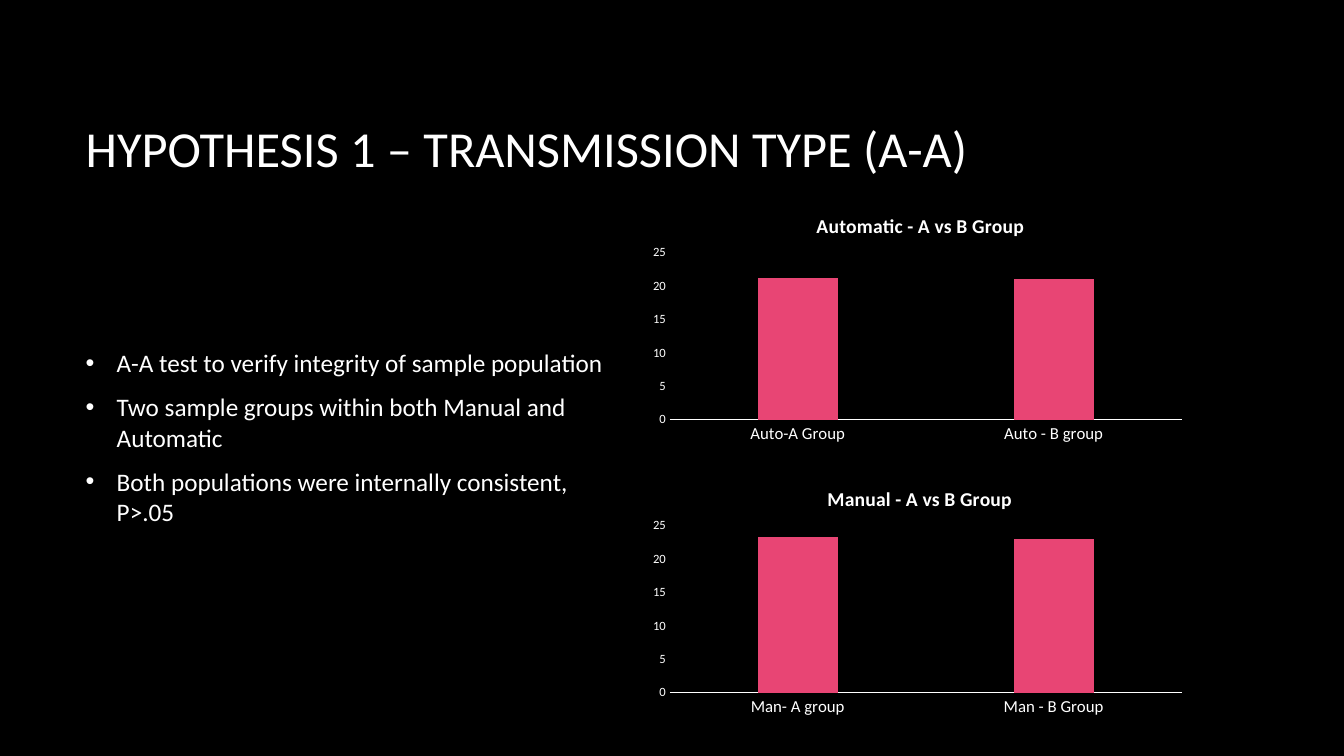
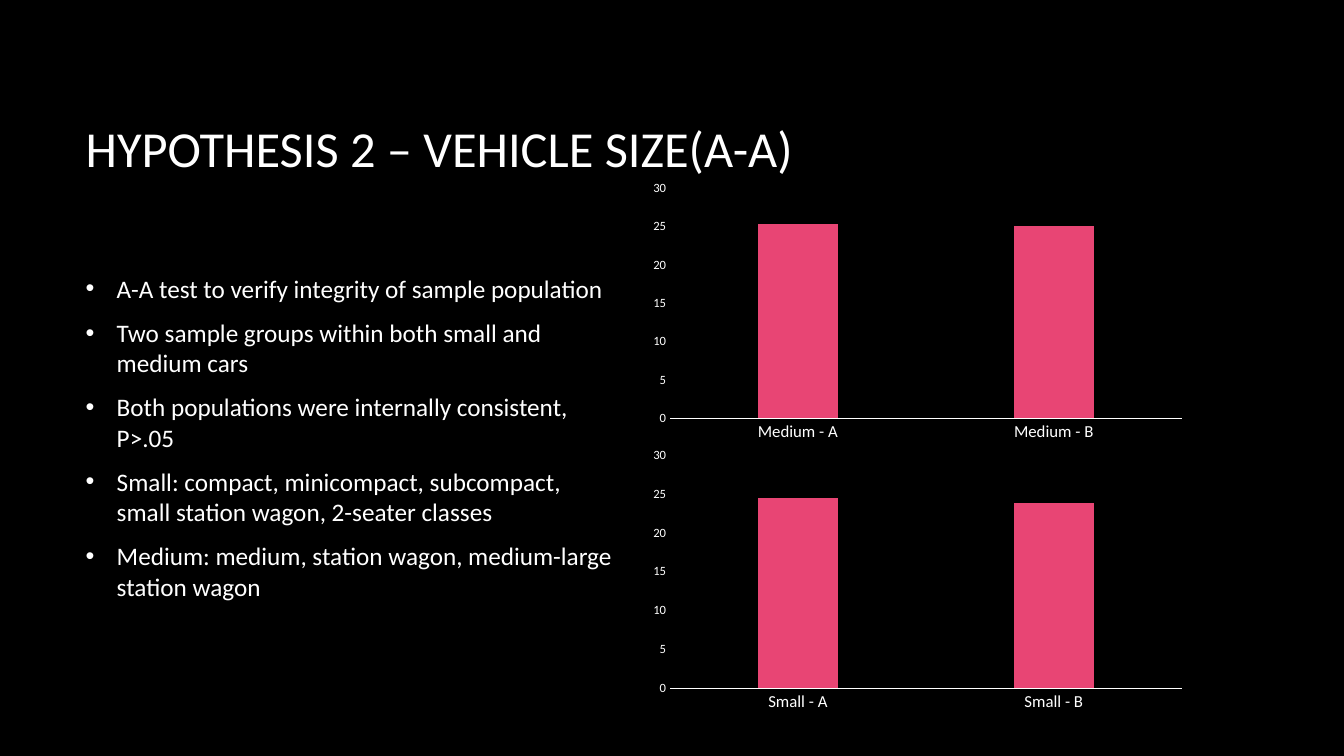
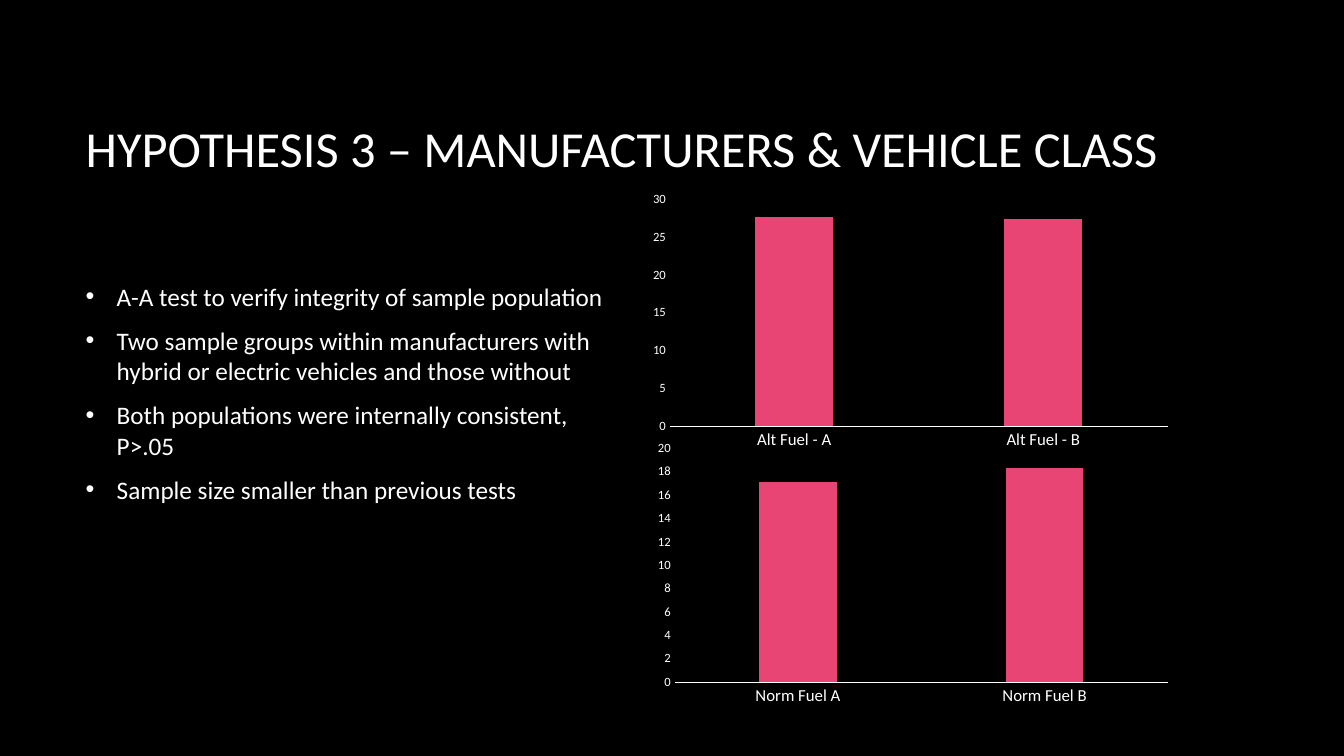
from pptx import Presentation
from pptx.chart.data import CategoryChartData
from pptx.dml.color import RGBColor
from pptx.enum.chart import XL_CHART_TYPE as ChartType, XL_TICK_MARK as TickMark
from pptx.enum.text import MSO_ANCHOR as Anchor, MSO_AUTO_SIZE as AutoSize, PP_ALIGN as Align
from pptx.oxml import parse_xml
from pptx.oxml.ns import nsdecls, qn
from pptx.util import Emu, Pt

BLACK = RGBColor(0x00, 0x00, 0x00)
WHITE = RGBColor(0xFF, 0xFF, 0xFF)
PINK = RGBColor(0xE8, 0x45, 0x74)
FONT = "Calibri"
EMU_PER_PX = 9144
TITLE_ONLY = 5


def px(length):
    return Emu(length * EMU_PER_PX)


class Deck:
    """Holds the shared style and the current slide, and draws each kind of element."""

    def __init__(self):
        self.presentation = Presentation()
        self.presentation.slide_width = px(1333)
        self.presentation.slide_height = px(750)
        fill = self.presentation.slide_master.background.fill
        fill.solid()
        fill.fore_color.rgb = BLACK
        self.slide = None

    def style(self, font, size):
        font.name = FONT
        font.size = Pt(size)
        font.color.rgb = WHITE

    def frame(self, shape):
        text_frame = shape.text_frame
        text_frame.word_wrap = True
        text_frame.auto_size = AutoSize.NONE
        text_frame.vertical_anchor = Anchor.MIDDLE
        return text_frame

    def add_text(self, paragraph, text, size):
        paragraph.alignment = Align.LEFT
        run = paragraph.add_run()
        run.text = text
        self.style(run.font, size)

    def add_slide(self, title):
        layout = self.presentation.slide_layouts[TITLE_ONLY]
        self.slide = self.presentation.slides.add_slide(layout)
        shape = self.slide.shapes.title
        shape.left, shape.top, shape.width, shape.height = map(px, (75, 67, 1108, 159))
        self.add_text(self.frame(shape).paragraphs[0], title, 36)

    def add_bullets(self, items, bottom_inset=5):
        shape = self.slide.shapes.add_textbox(*map(px, (75, 234, 546, 399)))
        text_frame = self.frame(shape)
        text_frame.margin_bottom = px(bottom_inset)
        for index, item in enumerate(items):
            paragraph = text_frame.paragraphs[0] if index == 0 else text_frame.add_paragraph()
            properties = paragraph._p.get_or_add_pPr()
            properties.set("marL", str(px(31)))
            properties.set("indent", str(px(-31)))
            for bullet in (
                f'<a:buClr {nsdecls("a")}><a:srgbClr val="{WHITE}"/></a:buClr>',
                f'<a:buFont {nsdecls("a")} typeface="Arial"/>',
                f'<a:buChar {nsdecls("a")} char="•"/>',
            ):
                properties.append(parse_xml(bullet))
            paragraph.space_after = Pt(10)
            self.add_text(paragraph, item, 18)

    def place(self, parent, index, target="", **fractions):
        for layout in parent.findall(qn("c:layout")):
            parent.remove(layout)
        modes = "".join(f'<c:{axis}Mode val="edge"/>' for axis in "xy")
        values = "".join(f'<c:{key} val="{value}"/>' for key, value in fractions.items())
        parent.insert(index, parse_xml(
            f'<c:layout {nsdecls("c")}><c:manualLayout>{target}{modes}{values}'
            "</c:manualLayout></c:layout>"))

    def add_chart_title(self, chart, title, title_x):
        chart.has_title = True
        self.add_text(chart.chart_title.text_frame.paragraphs[0], title, 14)
        self.place(chart.chart_title._element, 1, x=title_x, y=0.06)
        plot_area = chart._chartSpace.find(".//" + qn("c:plotArea"))
        self.place(plot_area, 0, '<c:layoutTarget val="inner"/>', x=0.05, y=0.23, w=0.93, h=0.65)

    def add_columns(self, box, columns, title=None, title_x=0):
        data = CategoryChartData()
        data.categories = list(columns)
        data.add_series("Series 1", list(columns.values()))
        chart = self.slide.shapes.add_chart(
            ChartType.COLUMN_CLUSTERED, *map(px, box), data).chart
        self.style(chart.font, 10)
        chart.has_legend = False
        chart.has_title = False
        if title:
            self.add_chart_title(chart, title, title_x)

        plot = chart.plots[0]
        plot.gap_width = 219
        plot.overlap = -27
        plot.vary_by_categories = False
        fill = plot.series[0].format.fill
        fill.solid()
        fill.fore_color.rgb = PINK

        for axis, size in ((chart.category_axis, 12), (chart.value_axis, 9)):
            axis.has_major_gridlines = False
            axis.major_tick_mark = TickMark.NONE
            axis.minor_tick_mark = TickMark.NONE
            self.style(axis.tick_labels.font, size)
        chart.category_axis.format.line.color.rgb = WHITE
        chart.category_axis.format.line.width = Pt(0.75)
        chart.value_axis.format.line.fill.background()
        chart.value_axis.minimum_scale = 0


def main():
    deck = Deck()
    integrity = "A-A test to verify integrity of sample population"
    consistent = "Both populations were internally consistent, P>.05"

    deck.add_slide("HYPOTHESIS 1 – TRANSMISSION TYPE (A-A)")
    deck.add_bullets([
        integrity,
        "Two sample groups within both Manual and Automatic",
        consistent,
    ])
    deck.add_columns((637, 192, 546, 255), {"Auto-A Group": 21.2, "Auto - B group": 21},
                     "Automatic - A vs B Group", 0.31)
    deck.add_columns((637, 463, 546, 255), {"Man- A group": 23.3, "Man - B Group": 23},
                     "Manual - A vs B Group", 0.33)

    deck.add_slide("HYPOTHESIS 2 – VEHICLE SIZE(A-A)")
    deck.add_bullets([
        integrity,
        "Two sample groups within both small and medium cars",
        consistent,
        "Small: compact, minicompact, subcompact, small station wagon, 2-seater classes",
        "Medium: medium, station wagon, medium-large station wagon",
    ])
    deck.add_columns((637, 439, 546, 273), {"Small - A": 24.5, "Small - B": 23.9})
    deck.add_columns((637, 174, 546, 270), {"Medium - A": 25.3, "Medium - B": 25.1})

    deck.add_slide("HYPOTHESIS 3 – MANUFACTURERS & VEHICLE CLASS")
    deck.add_bullets([
        integrity,
        "Two sample groups within manufacturers with hybrid or electric vehicles and those without",
        consistent,
        "Sample size smaller than previous tests",
    ], bottom_inset=93)
    deck.add_columns((637, 185, 532, 267), {"Alt Fuel - A": 27.7, "Alt Fuel - B": 27.4})
    deck.add_columns((642, 432, 527, 274), {"Norm Fuel A": 17.1, "Norm Fuel B": 18.3})

    deck.presentation.save("out.pptx")


if __name__ == "__main__":
    main()
